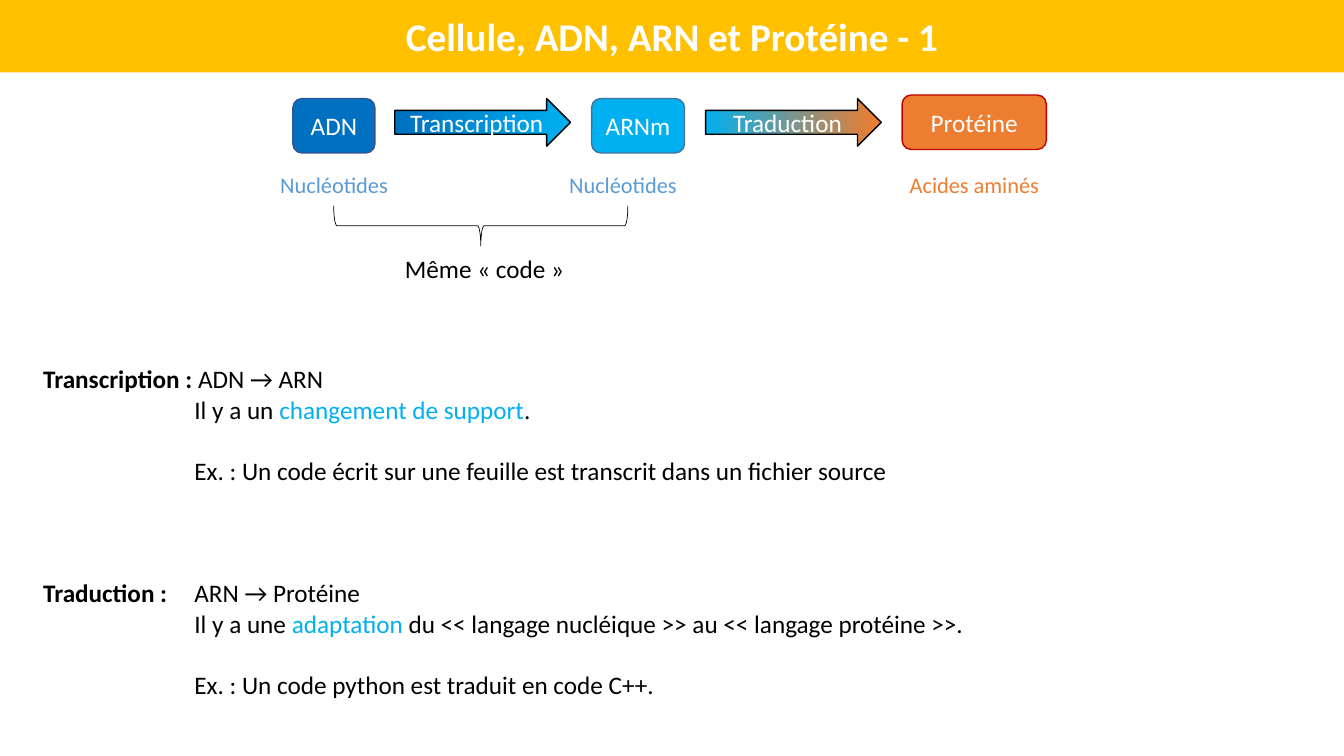
from dataclasses import dataclass

from lxml import etree
from pptx import Presentation
from pptx.dml.color import RGBColor
from pptx.enum.shapes import MSO_SHAPE
from pptx.enum.text import MSO_ANCHOR, PP_ALIGN
from pptx.oxml.ns import qn
from pptx.util import Pt

BAR, BOX = MSO_SHAPE.RECTANGLE, MSO_SHAPE.ROUNDED_RECTANGLE
ARROW, BRACE = MSO_SHAPE.RIGHT_ARROW, MSO_SHAPE.RIGHT_BRACE
MIDDLE, TOP = MSO_ANCHOR.MIDDLE, MSO_ANCHOR.TOP
LEFT, CENTER = PP_ALIGN.LEFT, PP_ALIGN.CENTER

FONT = "Calibri"
WHITE, BLACK, AMBER = "FFFFFF", "000000", "FFC000"
BLUE, SKY, PALE_BLUE, ORANGE = "0070C0", "00B0F0", "5B9BD5", "ED7D31"
LINE_HEIGHT = 22
INDENT, TERM_TAB = 108, 109


@dataclass(frozen=True)
class Block:
    text: str
    left: float
    top: float
    width: float
    height: float
    kind: MSO_SHAPE
    fills: tuple[str, ...]
    outline: str | None = None
    size: float = 18
    bold: bool = False
    last_stop: float = 1


@dataclass(frozen=True)
class Label:
    text: str
    left: float
    top: float
    width: float
    color: str
    size: float = 16
    align: PP_ALIGN = CENTER


@dataclass(frozen=True)
class Run:
    text: str
    color: str = BLACK
    bold: bool = False


@dataclass(frozen=True)
class Line:
    runs: tuple[Run, ...]
    blank_lines: int = 0
    indent: float = INDENT
    tab: float | None = None


BLOCKS = (
    Block("Cellule, ADN, ARN et Protéine - 1", 0, 0, 960, 51.8, BAR, (AMBER,), size=28, bold=True),
    Block("ADN", 209.2, 70.4, 58.6, 38.9, BOX, (BLUE,), "325491"),
    Block("ARNm", 422.6, 70.4, 66.4, 38.9, BOX, (SKY,), "43739E"),
    Block("Transcription", 282, 70.4, 125.5, 34, ARROW, (BLUE, SKY), BLACK),
    Block("Traduction", 504, 70.4, 125.5, 34, ARROW, (SKY, ORANGE), BLACK, last_stop=0.97),
    Block("Protéine", 644.4, 67.9, 103, 38.9, BOX, (ORANGE,), "C00000"),
)

LABELS = (
    Label("Nucléotides", 178.6, 118.8, 120, PALE_BLUE),
    Label("Nucléotides", 385, 118.8, 120, PALE_BLUE),
    Label("Acides aminés", 636, 118.8, 120, ORANGE),
    Label("Même «\u00a0code\u00a0»", 282.2, 177.4, 130, BLACK, 18, LEFT),
)

DEFINITIONS = (
    Line((Run("Transcription : ", bold=True), Run("ADN → ARN")), indent=0),
    Line((Run("Il y a un "), Run("changement de support", SKY), Run("."))),
    Line((Run("Ex. : Un code écrit sur une feuille est transcrit dans un fichier source"),), 1),
    Line((Run("Traduction :\t", bold=True), Run("ARN → Protéine")), 3, 0, TERM_TAB),
    Line((
        Run("Il y a une "),
        Run("adaptation", SKY),
        Run(" du << langage nucléique >> au << langage protéine >>."),
    )),
    Line((Run("Ex. : Un code python est traduit en code C++."),), 1),
)


def rgb(value: str) -> RGBColor:
    return RGBColor.from_string(value)


def write(paragraph, text: str, *, size: float = 18, color: str = BLACK, bold: bool = False) -> None:
    run = paragraph.add_run()
    run.text = text
    run.font.name = FONT
    run.font.size = Pt(size)
    run.font.bold = bold
    run.font.color.rgb = rgb(color)


def add_frame(slide, left: float, top: float, width: float, height: float):
    frame = slide.shapes.add_textbox(Pt(left), Pt(top), Pt(width), Pt(height)).text_frame
    frame.word_wrap = True
    frame.vertical_anchor = TOP
    return frame


def draw_block(slide, block: Block) -> None:
    shape = slide.shapes.add_shape(
        block.kind, Pt(block.left), Pt(block.top), Pt(block.width), Pt(block.height)
    )
    shape.shadow.inherit = False
    if len(block.fills) == 1:
        shape.fill.solid()
        shape.fill.fore_color.rgb = rgb(block.fills[0])
    else:
        shape.fill.gradient()
        shape.fill.gradient_angle = 0
        for stop, color, position in zip(shape.fill.gradient_stops, block.fills, (0, block.last_stop)):
            stop.color.rgb = rgb(color)
            stop.position = position
    if block.outline:
        shape.line.color.rgb = rgb(block.outline)
        shape.line.width = Pt(1)
    else:
        shape.line.fill.background()
    shape.text_frame.vertical_anchor = MIDDLE
    paragraph = shape.text_frame.paragraphs[0]
    paragraph.alignment = CENTER
    write(paragraph, block.text, size=block.size, color=WHITE, bold=block.bold)


def draw_label(slide, label: Label) -> None:
    frame = add_frame(slide, label.left, label.top, label.width, 28)
    paragraph = frame.paragraphs[0]
    paragraph.alignment = label.align
    write(paragraph, label.text, size=label.size, color=label.color)


def draw_brace(slide) -> None:
    brace = slide.shapes.add_shape(BRACE, Pt(329), Pt(56.2), Pt(28.8), Pt(210.2))
    brace.rotation = 90
    brace.shadow.inherit = False
    brace.fill.background()
    brace.line.color.rgb = rgb(BLACK)
    brace.line.width = Pt(0.5)


def draw_definitions(slide, lines: tuple[Line, ...]) -> None:
    frame = add_frame(slide, 23.8, 256.3, 700, 247)
    for index, line in enumerate(lines):
        paragraph = frame.paragraphs[0] if index == 0 else frame.add_paragraph()
        if line.blank_lines:
            paragraph.space_before = Pt(line.blank_lines * LINE_HEIGHT)
        properties = paragraph._p.get_or_add_pPr()
        properties.set("marL", str(Pt(line.indent)))
        properties.set("indent", "0")
        if line.tab is not None:
            tabs = etree.SubElement(properties, qn("a:tabLst"))
            etree.SubElement(tabs, qn("a:tab"), pos=str(Pt(line.tab)), algn="l")
        for run in line.runs:
            write(paragraph, run.text, color=run.color, bold=run.bold)


def main() -> None:
    deck = Presentation()
    deck.slide_width, deck.slide_height = Pt(960), Pt(540)
    slide = deck.slides.add_slide(deck.slide_layouts[6])
    for block in BLOCKS:
        draw_block(slide, block)
    for label in LABELS:
        draw_label(slide, label)
    draw_brace(slide)
    draw_definitions(slide, DEFINITIONS)
    deck.save("out.pptx")


if __name__ == "__main__":
    main()
